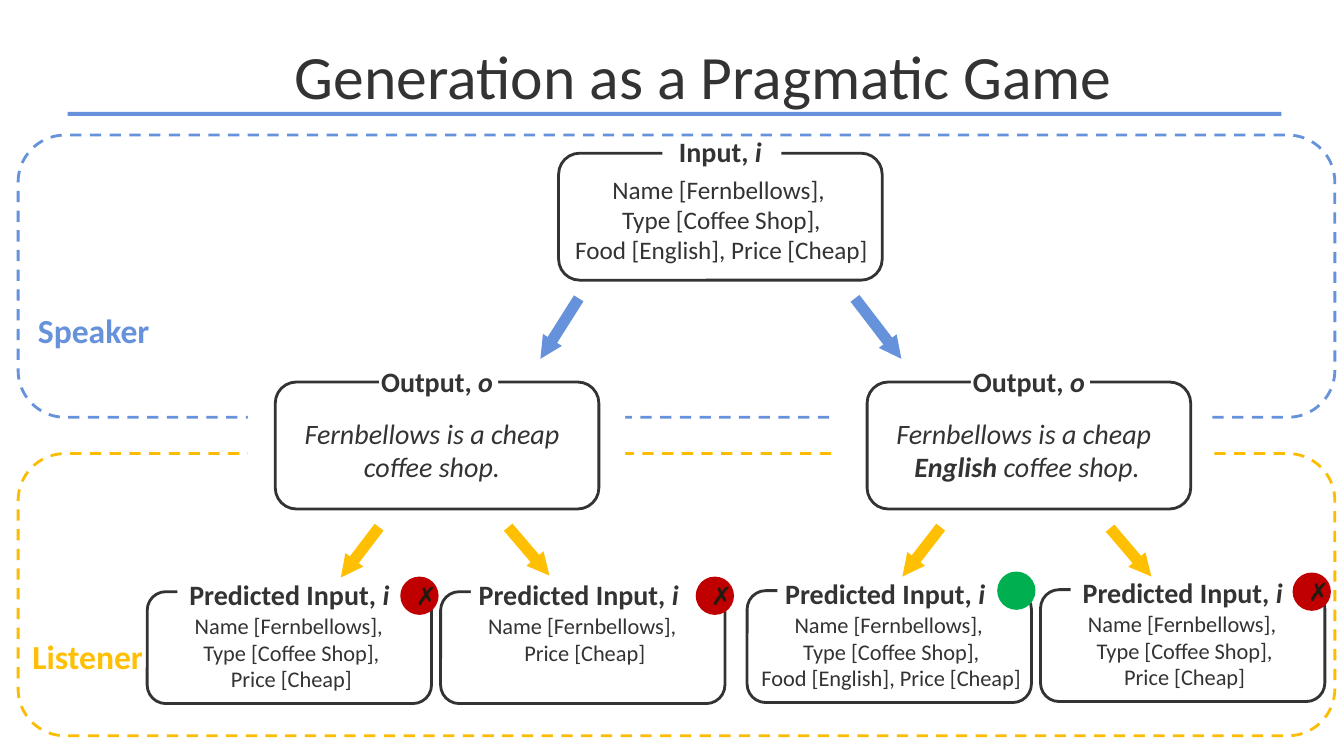
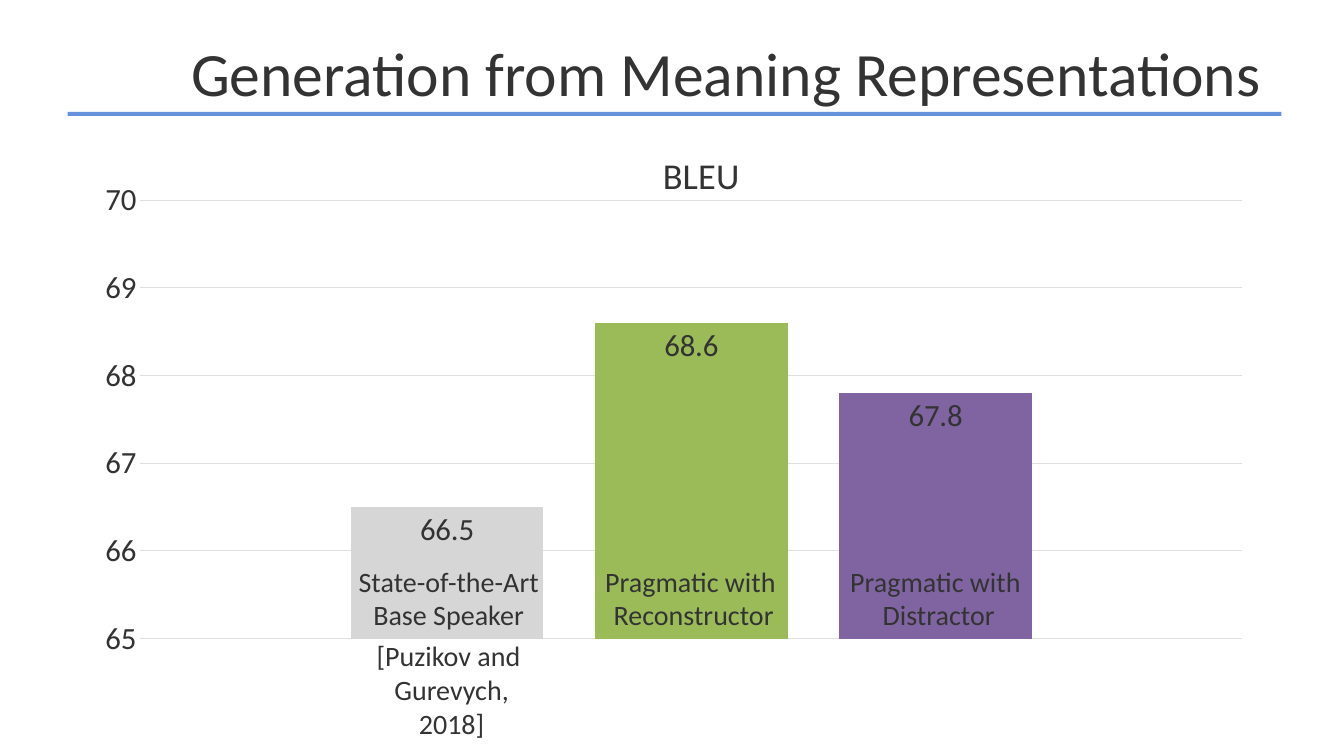
import pptx
import pptx.util
import pptx.chart.data
import pptx.dml.color
import pptx.enum.chart
import pptx.enum.dml
import pptx.enum.shapes
import pptx.enum.text
import pptx.oxml
import pptx.oxml.ns

RGB = pptx.dml.color.RGBColor
SHAPE = pptx.enum.shapes.MSO_SHAPE
ALIGN = pptx.enum.text.PP_ALIGN
ANCHOR = pptx.enum.text.MSO_ANCHOR
Pt = pptx.util.Pt

# Shared look; 100 px to the inch
PX = 9144
FONT = "Calibri"
INK = RGB(0x33, 0x33, 0x33)
WHITE = RGB(0xFF, 0xFF, 0xFF)
BLUE = RGB(0x66, 0x92, 0xDC)
GOLD = RGB(0xFF, 0xC0, 0x03)
BAND_GOLD = RGB(0xFB, 0xBD, 0x04)
RED = RGB(0xC0, 0x00, 0x00)
GREEN = RGB(0x00, 0xB0, 0x50)
CROSS_INK = RGB(0x1E, 0x1C, 0x11)
GRID = RGB(0xE0, 0xE0, 0xE0)
BARS = [RGB(0xD6, 0xD6, 0xD6), RGB(0x9B, 0xBB, 0x59), RGB(0x80, 0x64, 0xA2)]
TITLE_RULE = (67, 111, 1204, 4)
ITALIC = {"italic": True}
BOLD = {"bold": True}

# Slide 1 content
GAME_TITLE = "Generation as a Pragmatic Game"
BANDS = [((18, 134, 1306, 280), BLUE), ((18, 450, 1306, 280), BAND_GOLD)]
BAND_BREAKS = [(246, 367, 374, 161), (828, 358, 374, 161)]
ROLES = [("Speaker", (23, 282, 140, 91), BLUE), ("Listener", (17, 605, 140, 91), GOLD)]

NAME, TYPE, PRICE = "Name [Fernbellows], ", "Type [Coffee Shop],", "Price [Cheap]"
FOOD_PRICE = "Food [English], Price [Cheap]"
SENTENCE = "Fernbellows is a cheap\n"

# Card kinds: frame size, then parts as (dx, dy, width, height) from the frame corner
KINDS = {
    "input": dict(label="Input, ", symbol="i", size=(321, 126), gap=(103, -12, 118, 27),
                  body=(2, 16, 319, 101), heading=(0, -23, 321, 44), format={"size": Pt(18)}),
    "output": dict(label="Output, ", symbol="o", size=(321, 126), gap=(103, -12, 118, 27),
                   body=(-4, 29, 319, 77), heading=(0, -22, 321, 44),
                   format={"size": Pt(20), "italic": True}),
    "predicted": dict(label="Predicted Input, ", symbol="i", size=(282, 111),
                      gap=(30, -10, 234, 24), body=(3, 15, 280, 91),
                      heading=(0, -19, 282, 38), format={"size": Pt(16)}),
}
# (kind, left, top, heading shift, paragraphs of runs)
CARDS = [
    ("input", 554, 152, 0, [[(NAME, {})], [(TYPE, {})], [(FOOD_PRICE, {})]]),
    ("output", 860, 379, 0, [[(SENTENCE, {}), (" English ", BOLD), ("coffee shop.", {})]]),
    ("output", 273, 379, 0, [[(SENTENCE + "coffee shop.", {})]]),
    ("predicted", 146, 587, 0, [[(NAME, {})], [(TYPE, {})], [(PRICE, {})]]),
    ("predicted", 437, 587, -4, [[(NAME, {})], [(PRICE, {})]]),
    ("predicted", 1032, 585, 0, [[(NAME, {})], [(TYPE, {})], [(PRICE, {})]]),
    ("predicted", 741, 586, -4, [[(NAME, {})], [(TYPE, {})], [(FOOD_PRICE, {})]]),
]
# (from x, from y, to x, to y, colour)
ARROWS = [
    (574, 296, 536, 356, BLUE), (848, 296, 894, 356, BLUE),
    (376, 523, 338, 573, GOLD), (933, 523, 895, 572, GOLD),
    (1101, 524, 1142, 572, GOLD), (504, 523, 545, 571, GOLD),
]
MARK_SIZE = 38
MARKS = [(989, 567, GREEN, ""), (690, 572, RED, "✗"), (397, 572, RED, "✗"), (1282, 568, RED, "✗")]

# Slide 2 content
SCORES_TITLE = "Generation from Meaning Representations"
SCORES = [
    ("State-of-the-Art\nBase Speaker", 66.5),
    ("Pragmatic with \nReconstructor", 68.6),
    ("Pragmatic with \nDistractor", 67.8),
]
CITATION = "[Puzikov and \nGurevych, 2018]"
CHART_BOX = (81, 126, 1163, 558)
PLOT_LAYOUT = {"layoutTarget": "inner", "xMode": "edge", "yMode": "edge",
               "x": 0.05, "y": 0.13, "w": 0.94, "h": 0.78}
TITLE_LAYOUT = {"xMode": "edge", "yMode": "edge", "x": 0.49, "y": 0.03}
BAR_LABEL_LEFT, BAR_LABEL_TOP, BAR_PITCH = 345, 555, 243
BAR_LABEL_SIZE = (200, 77)


def emu(lengths):
    return [length * PX for length in lengths]


def set_format(target, values):
    for attribute, value in values.items():
        setattr(target, attribute, value)


def set_font(font, color=INK, **values):
    set_format(font, {"name": FONT, **values})
    font.color.rgb = color


def write(frame, paragraphs, wrap=True, anchor=ANCHOR.TOP, **base):
    """Fill a frame with centred paragraphs, each a list of (text, format) runs."""
    set_format(frame, {"word_wrap": wrap, "vertical_anchor": anchor})
    for index, runs in enumerate(paragraphs):
        paragraph = frame.add_paragraph() if index else frame.paragraphs[0]
        paragraph.alignment = ALIGN.CENTER
        for text, extra in runs:
            for number, line in enumerate(text.split("\n")):
                if number:
                    paragraph.add_line_break()
                run = paragraph.add_run()
                run.text = line
                set_font(run.font, **{**base, **extra})


def add_text(slide, box, paragraphs, **options):
    write(slide.shapes.add_textbox(*emu(box)).text_frame, paragraphs, **options)


def add_box(slide, kind, box, fill=None, line=None, dash=None):
    shape = slide.shapes.add_shape(kind, *emu(box))
    shape.shadow.inherit = False
    if fill is None:
        shape.fill.background()
    else:
        shape.fill.solid()
        shape.fill.fore_color.rgb = fill
    if line is None:
        shape.line.fill.background()
    else:
        shape.line.color.rgb = line
        set_format(shape.line, {"width": Pt(2), "dash_style": dash})
    return shape


def add_slide(deck, title, title_box):
    slide = deck.slides.add_slide(deck.slide_layouts[6])
    add_box(slide, SHAPE.RECTANGLE, TITLE_RULE, BLUE)
    add_text(slide, title_box, [[(title, {})]], anchor=ANCHOR.MIDDLE, size=Pt(44))
    return slide


def add_card(slide, kind, left, top, heading_shift, body):
    style = KINDS[kind]

    def place(part, shift=0):
        dx, dy, width, height = style[part]
        return left + dx + shift, top + dy, width, height

    add_box(slide, SHAPE.ROUNDED_RECTANGLE, (left, top, *style["size"]), line=INK)
    add_box(slide, SHAPE.RECTANGLE, place("gap"), WHITE)
    add_text(slide, place("body"), body, **style["format"])
    heading = [[(style["label"], {}), (style["symbol"], ITALIC)]]
    add_text(slide, place("heading", heading_shift), heading, size=Pt(20), bold=True)


def add_arrow(slide, x1, y1, x2, y2, color):
    arrow = slide.shapes.add_connector(
        pptx.enum.shapes.MSO_CONNECTOR.STRAIGHT, *emu((x1, y1, x2, y2)))
    arrow.line.color.rgb = color
    arrow.line.width = Pt(8)
    head = pptx.oxml.parse_xml(
        '<a:tailEnd %s type="triangle" w="sm" len="sm"/>' % pptx.oxml.ns.nsdecls("a"))
    arrow.line._get_or_add_ln().append(head)
    arrow._element.spPr.append(
        pptx.oxml.parse_xml("<a:effectLst %s/>" % pptx.oxml.ns.nsdecls("a")))


def layout_xml(values):
    entries = "".join(f'<c:{key} val="{value}"/>' for key, value in values.items())
    return pptx.oxml.parse_xml(
        "<c:layout %s><c:manualLayout>%s</c:manualLayout></c:layout>"
        % (pptx.oxml.ns.nsdecls("c"), entries))


def set_layout(parent, position, values):
    for old in parent.findall(pptx.oxml.ns.qn("c:layout")):
        parent.remove(old)
    parent.insert(position, layout_xml(values))


def build_game(deck):
    slide = add_slide(deck, GAME_TITLE, (62, 19, 1272, 110))
    # Speaker and listener areas
    for box, color in BANDS:
        add_box(slide, SHAPE.ROUNDED_RECTANGLE, box, line=color,
                dash=pptx.enum.dml.MSO_LINE.DASH)
    for box in BAND_BREAKS:
        add_box(slide, SHAPE.ROUNDED_RECTANGLE, box, WHITE)
    for role, box, color in ROLES:
        label = add_box(slide, SHAPE.ROUNDED_RECTANGLE, box)
        write(label.text_frame, [[(role, {})]], anchor=ANCHOR.MIDDLE,
              size=Pt(24), bold=True, color=color)
    # Game tree
    for card in CARDS:
        add_card(slide, *card)
    for arrow in ARROWS:
        add_arrow(slide, *arrow)
    # Right and wrong guesses
    for left, top, color, sign in MARKS:
        mark = add_box(slide, SHAPE.OVAL, (left, top, MARK_SIZE, MARK_SIZE), color)
        if sign:
            write(mark.text_frame, [[(sign, {})]], anchor=ANCHOR.MIDDLE,
                  size=Pt(18), bold=True, color=CROSS_INK)


def add_scores_chart(slide):
    data = pptx.chart.data.CategoryChartData()
    data.categories = ["1"]
    for method, score in SCORES:
        data.add_series(method.replace("\n", " ").replace("  ", " "), [score])
    chart = slide.shapes.add_chart(
        pptx.enum.chart.XL_CHART_TYPE.COLUMN_CLUSTERED, *emu(CHART_BOX), data).chart
    chart.has_legend = False
    set_font(chart.font, size=Pt(22))

    # Title and plot area
    heading = chart.chart_title.text_frame
    heading.text = "BLEU"
    set_font(heading.paragraphs[0].runs[0].font, size=Pt(26), bold=False)
    set_layout(chart.chart_title._element, 1, TITLE_LAYOUT)
    set_layout(chart._chartSpace.chart.plotArea, 0, PLOT_LAYOUT)

    # Axes
    chart.category_axis.visible = False
    axis = chart.value_axis
    no_tick = pptx.enum.chart.XL_TICK_MARK.NONE
    set_format(axis, {"minimum_scale": 65, "maximum_scale": 70, "major_unit": 1,
                      "major_tick_mark": no_tick, "minor_tick_mark": no_tick})
    axis.format.line.fill.background()
    axis.major_gridlines.format.line.color.rgb = GRID
    axis.major_gridlines.format.line.width = Pt(0.75)
    set_font(axis.tick_labels.font, size=Pt(22))

    # Bars
    plot = chart.plots[0]
    set_format(plot, {"gap_width": 219, "overlap": -27, "vary_by_categories": False})
    for series, color in zip(plot.series, BARS):
        series.format.fill.solid()
        series.format.fill.fore_color.rgb = color
        labels = series.data_labels
        set_format(labels, {"show_value": True, "number_format": "#,##0.0",
                            "number_format_is_linked": False,
                            "position": pptx.enum.chart.XL_LABEL_POSITION.INSIDE_END})
        set_font(labels.font, size=Pt(22))


def build_scores(deck):
    slide = add_slide(deck, SCORES_TITLE, (54, 16, 1333, 110))
    add_scores_chart(slide)
    # Names on the bars, source below the first
    captions = [(BAR_LABEL_LEFT + BAR_PITCH * i, BAR_LABEL_TOP, method)
                for i, (method, _) in enumerate(SCORES)]
    captions.append((BAR_LABEL_LEFT + 3, BAR_LABEL_TOP + 74, CITATION))
    for left, top, text in captions:
        add_text(slide, (left, top, *BAR_LABEL_SIZE), [[(text, {})]],
                 wrap=False, size=Pt(20))


def main():
    deck = pptx.Presentation()
    set_format(deck, {"slide_width": 1333 * PX, "slide_height": 750 * PX})
    build_game(deck)
    build_scores(deck)
    deck.save("out.pptx")


if __name__ == "__main__":
    main()
